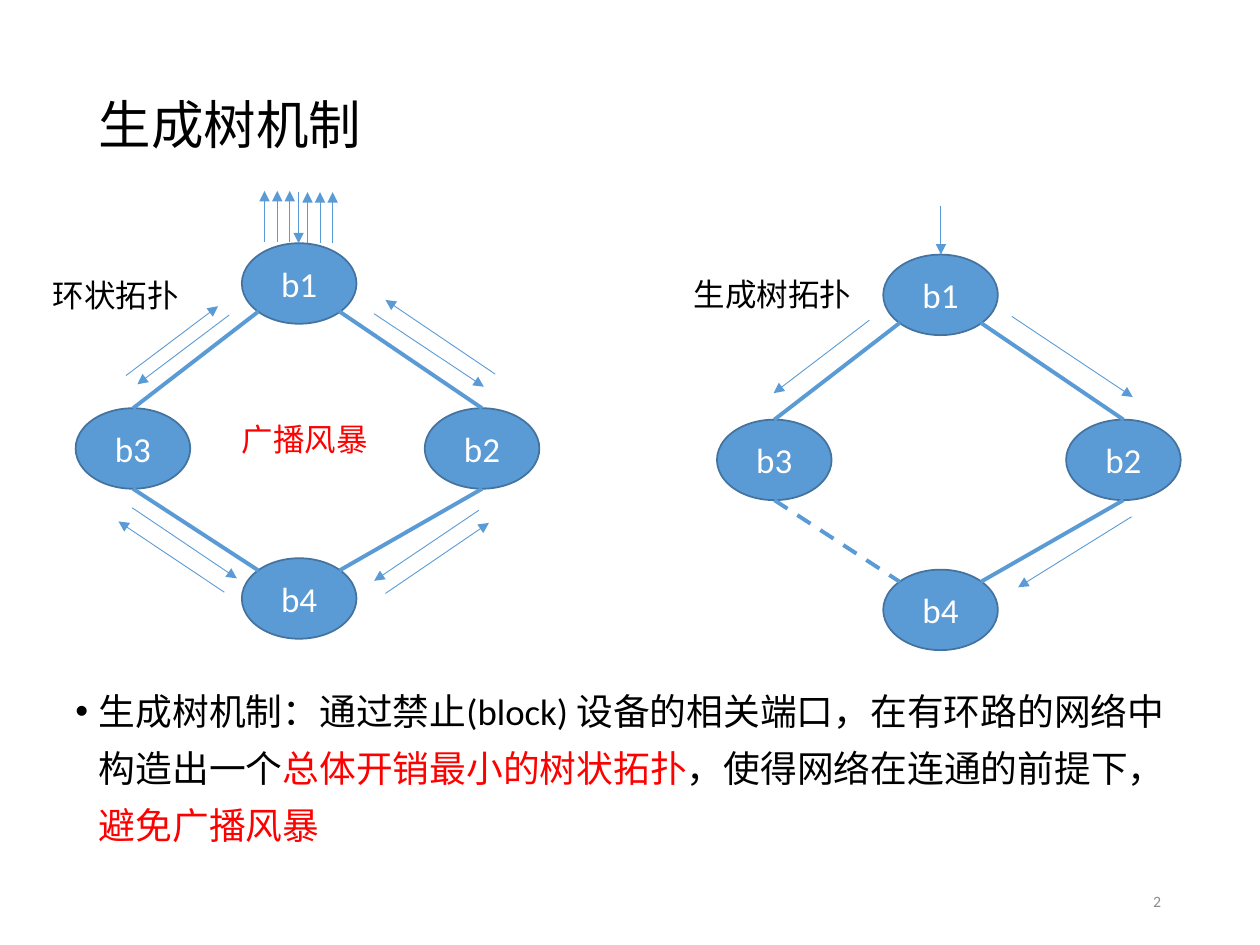
from lxml import etree
from pptx import Presentation
from pptx.dml.color import RGBColor
from pptx.enum import dml, shapes, text
from pptx.oxml import ns
from pptx.util import Pt

HUES = {"black": "000000", "red": "FF0000", "white": "FFFFFF",
        "blue": "5B9BD5", "edge": "43739E", "gray": "8C8C8C"}
NODE = (65.5, 46)
SPOTS = {"b1": (95, 0), "b3": (0, 94.3), "b2": (199.5, 94.3), "b4": (95, 180)}
LINKS = {"b1b3": (104.5, 39, 32.8, 94.3), "b1b2": (150.8, 39, 232.3, 94.3),
         "b3b4": (32.8, 140.3, 104.5, 187), "b2b4": (232.3, 140.3, 150.8, 187)}
STORM = [(28.8, 75.6, 81.4, 36), (87.8, 41, 35.3, 80.6),
         (170.6, 40.3, 233.3, 82), (239.8, 74.8, 177.1, 32.4),
         (32.4, 151.2, 92.2, 191.5), (85, 199.4, 24.5, 159),
         (230.4, 152.6, 170.6, 192.9), (177.1, 200.1, 236.2, 159.8),
         (127.4, -29.5, 127.4, 0)]
STORM += [(x + 7.2 * i, y, x + 7.2 * i, y - 29.2)
          for x, y in ((108, -0.7), (132.5, 0)) for i in range(3)]
TREE = [(128, -28, 128, 0), (87.1, 37.5, 32.4, 79.2),
        (168.5, 35.3, 237.6, 81.4), (236.9, 149.8, 172.1, 190.1)]


def hue(name):
    return RGBColor.from_string(HUES[name])


def apply(item, form):
    for key, val in form.items():
        setattr(item, key, val)


def add(root, tag, **attrs):
    return etree.SubElement(root, ns.qn(tag), attrs)


def write(par, words, size, tint):
    run = par.add_run()
    run.text = words
    apply(run.font, {"name": "Calibri", "size": Pt(size)})
    run.font.color.rgb = hue(tint)


def label(slide, box, words, size, tint="black", frame=None, par=None):
    shape = slide.shapes.add_textbox(*map(Pt, box))
    apply(shape.text_frame, frame or {"word_wrap": False})
    line = shape.text_frame.paragraphs[0]
    apply(line, par or {})
    write(line, words, size, tint)


def title(slide, box):
    label(slide, box, "生成树机制", 30,
          frame={"word_wrap": True, "vertical_anchor": text.MSO_ANCHOR.MIDDLE},
          par={"line_spacing": 0.9})


def body(slide, box):
    shape = slide.shapes.add_textbox(*map(Pt, box))
    shape.text_frame.word_wrap = True
    par = shape.text_frame.paragraphs[0]
    par.line_spacing = 1.3
    props = par._p.get_or_add_pPr()
    props.set("marL", str(Pt(13.5)))
    props.set("indent", str(-Pt(13.5)))
    add(props, "a:buFont", typeface="Arial")
    add(props, "a:buChar", char="•")
    for words, tint in (
            ("生成树机制：通过禁止(block) 设备的相关端口，在有环路的网络中构造出一个", "black"),
            ("总体开销最小的树状拓扑", "red"),
            ("，使得网络在连通的前提下，", "black"),
            ("避免广播风暴", "red")):
        write(par, words, 21, tint)


def wire(slide, left, top, ends, width, head=False, dash=False):
    x, y, x2, y2 = ends
    line = slide.shapes.add_connector(
        shapes.MSO_CONNECTOR.STRAIGHT,
        Pt(left + x), Pt(top + y), Pt(left + x2), Pt(top + y2))
    line.line.color.rgb = hue("blue")
    line.line.width = Pt(width)
    if dash:
        line.line.dash_style = dml.MSO_LINE.DASH
    if head:
        add(line.line._get_or_add_ln(), "a:tailEnd", type="triangle")
    add(line._element.spPr, "a:effectLst")


def node(slide, box, name):
    shape = slide.shapes.add_shape(shapes.MSO_SHAPE.OVAL, *map(Pt, box))
    shape.shadow.inherit = False
    shape.fill.solid()
    shape.fill.fore_color.rgb = hue("blue")
    shape.line.color.rgb = hue("edge")
    shape.line.width = Pt(1)
    shape.text_frame.vertical_anchor = text.MSO_ANCHOR.MIDDLE
    par = shape.text_frame.paragraphs[0]
    par.alignment = text.PP_ALIGN.CENTER
    write(par, name, 20, "white")


def network(slide, left, top, flows, tag, cut=None):
    for name, (x, y) in SPOTS.items():
        node(slide, (left + x, top + y, *NODE), name)
    for name, ends in LINKS.items():
        wire(slide, left, top, ends, 2.25, dash=name == cut)
    for ends in flows:
        wire(slide, left, top, ends, 0.5, head=True)
    words, drop, width = tag
    label(slide, (left - 20.2, top + drop, width, 29), words, 18)


def number(slide, box):
    label(slide, box, "2", 9, "gray",
          {"word_wrap": True, "vertical_anchor": text.MSO_ANCHOR.MIDDLE},
          {"alignment": text.PP_ALIGN.RIGHT})


def main():
    deck = Presentation()
    apply(deck, {"slide_width": Pt(720), "slide_height": Pt(540)})
    slide = deck.slides.add_slide(deck.slide_layouts[6])
    title(slide, (49.5, 28.8, 621, 88.5))
    body(slide, (36, 382.3, 648, 128))
    network(slide, 43.2, 139, STORM, ("环状拓扑", 15, 87))
    label(slide, (131, 236.2, 87, 29), "广播风暴", 18, "red")
    network(slide, 409.7, 145.5, TREE, ("生成树拓扑", 8, 105), "b3b4")
    number(slide, (508.5, 500.5, 162, 28.8))
    deck.save("out.pptx")


if __name__ == "__main__":
    main()
